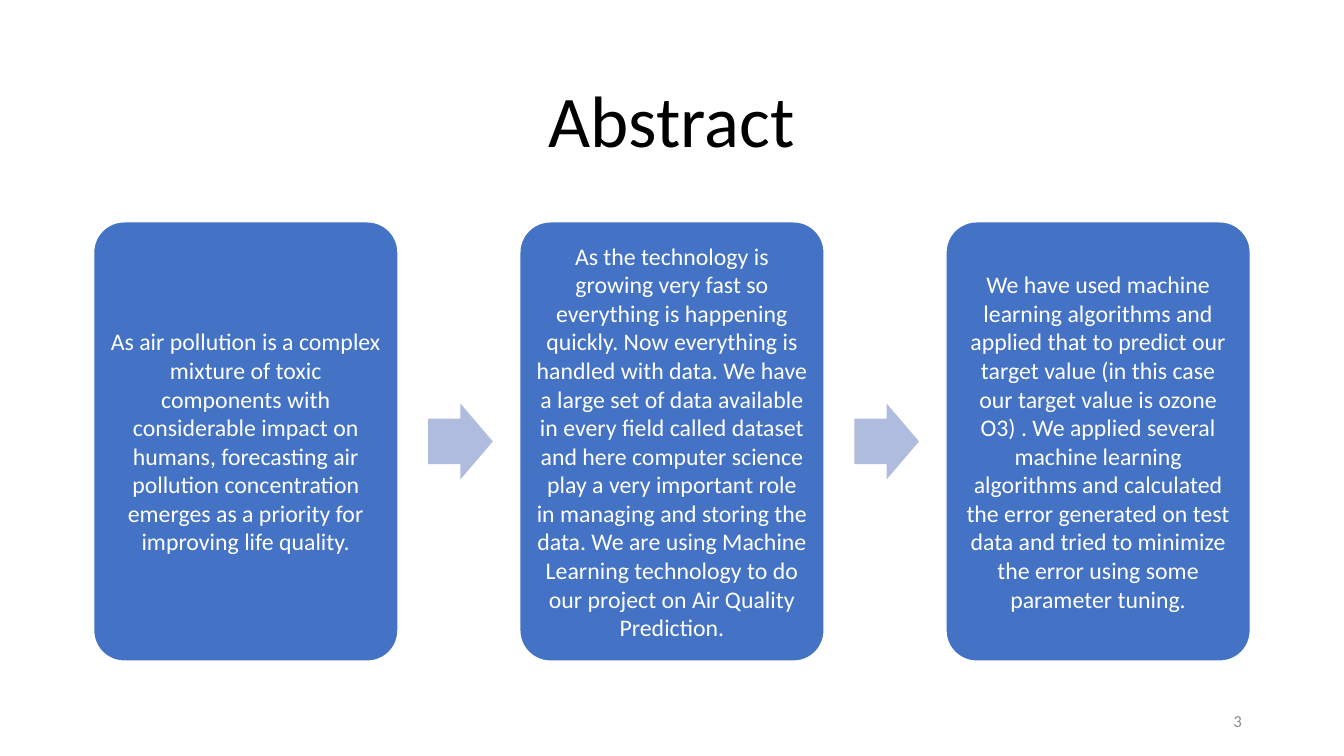
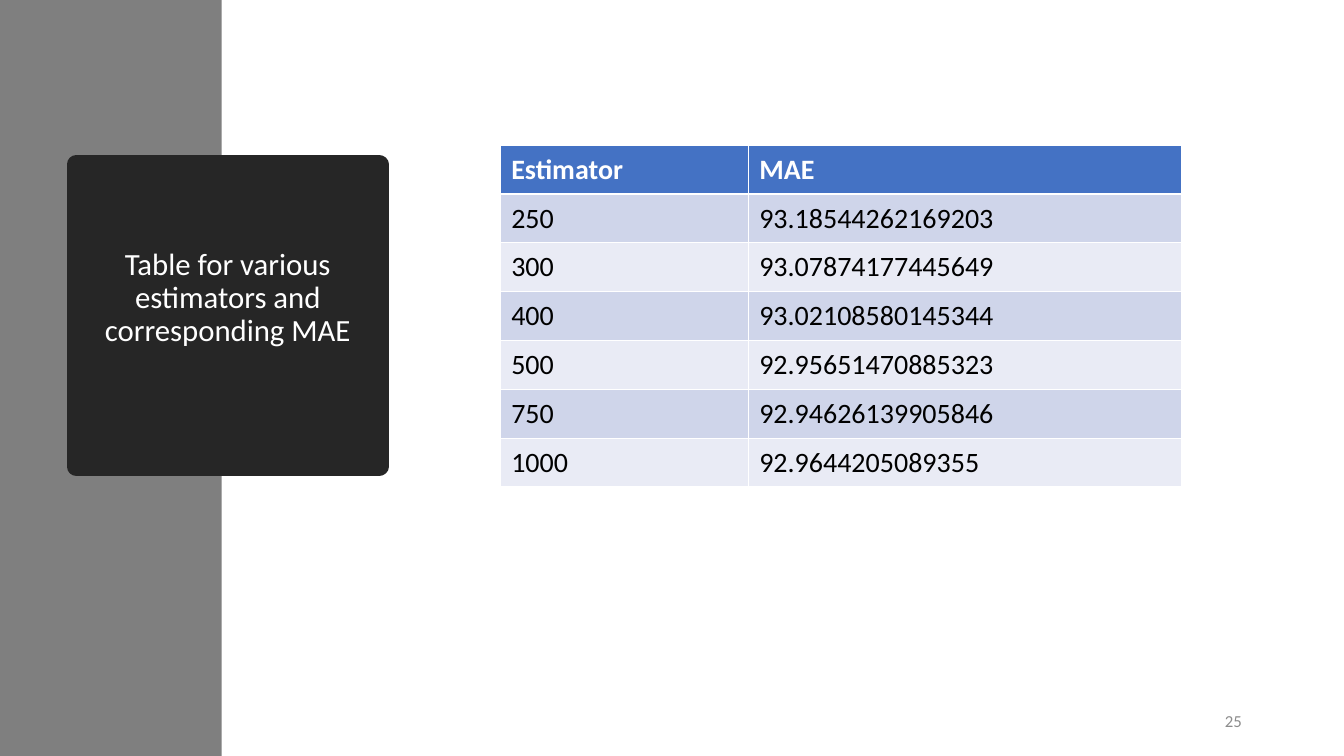
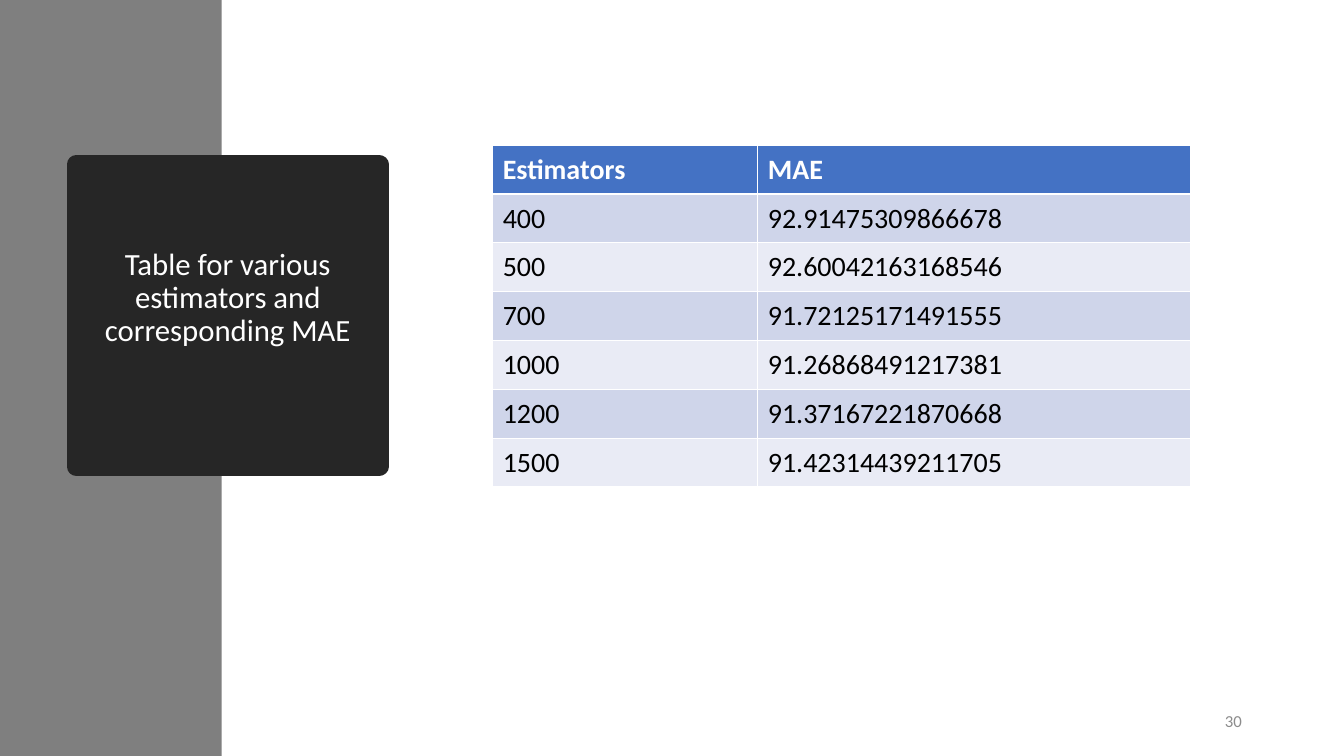
from pptx import Presentation
from pptx.dml.color import RGBColor
from pptx.enum.shapes import MSO_SHAPE as Shape
from pptx.enum.text import MSO_ANCHOR as Anchor, MSO_AUTO_SIZE as AutoSize, PP_ALIGN as Align
from pptx.util import Cm, Pt

COLOURS = {
    "white": "FFFFFF", "black": "000000", "number": "8C8C8C",
    "blue": "4472C4", "arrow": "B0BCDE", "band": "7F7F7F",
    "dark": "262626", "odd_row": "CFD5EA", "even_row": "E9EBF5",
}
FONT = "Calibri"
TITLE_ONLY = 5
PAGE_WIDTH, PAGE_HEIGHT = 33.87, 19.05
TABLE_CENTRE, TABLE_TOP, ROW_HEIGHT = 21.2, 3.66, 1.23

ABSTRACT = [
    "As air pollution is a complex mixture of toxic components with considerable "
    "impact on humans, forecasting air pollution concentration emerges as a "
    "priority for improving life quality.",
    "As the technology is growing very fast so everything is happening quickly. "
    "Now everything is handled with data. We have a large set of data available "
    "in every field called dataset and here computer science play a very important "
    "role in managing and storing the data. We are using Machine Learning "
    "technology to do our project on Air Quality Prediction.",
    "We have used machine learning algorithms and applied that to predict our "
    "target value (in this case our target value is ozone O3) . We applied several "
    "machine learning algorithms and calculated the error generated on test data "
    "and tried to minimize the error using some parameter tuning.",
]
MAE_TITLE = "Table for various estimators and corresponding MAE"
FIRST_RESULTS = [
    ("Estimator", "MAE"),
    ("250", "93.18544262169203"),
    ("300", "93.07874177445649"),
    ("400", "93.02108580145344"),
    ("500", "92.95651470885323"),
    ("750", "92.94626139905846"),
    ("1000", "92.9644205089355"),
]
SECOND_RESULTS = [
    ("Estimators", "MAE"),
    ("400", "92.91475309866678"),
    ("500", "92.60042163168546"),
    ("700", "91.72125171491555"),
    ("1000", "91.26868491217381"),
    ("1200", "91.37167221870668"),
    ("1500", "91.42314439211705"),
]


def colour(name):
    return RGBColor.from_string(COLOURS[name])


def set_all(target, values):
    for name, value in values.items():
        setattr(target, name, value)


def paint(target, name):
    """Fill a shape or a table cell with one palette colour."""
    target.fill.solid()
    target.fill.fore_color.rgb = colour(name)


def outline(shape, name, width):
    shape.line.color.rgb = colour(name)
    shape.line.width = Pt(width)


def write(frame, text, size, ink, align=Align.LEFT, bold=False, spacing=1.0):
    para = frame.paragraphs[0]
    set_all(para, {"alignment": align, "line_spacing": spacing})
    span = para.add_run()
    span.text = text
    set_all(span.font, {"name": FONT, "size": Pt(size), "bold": bold})
    span.font.color.rgb = colour(ink)


def add_box(page, kind, place, fill):
    box = page.shapes.add_shape(kind, *map(Cm, place))
    box.shadow.inherit = False
    paint(box, fill)
    box.line.fill.background()
    return box


def add_page(deck, number):
    page = deck.slides.add_slide(deck.slide_layouts[TITLE_ONLY])
    box = page.shapes.add_textbox(Cm(23.93), Cm(17.65), Cm(7.62), Cm(1.02))
    set_all(box.text_frame, {"word_wrap": True, "vertical_anchor": Anchor.MIDDLE})
    write(box.text_frame, str(number), 12, "number", Align.RIGHT)
    return page


def set_title(page, text, place, size, ink):
    title = page.shapes.title
    sides = ("left", "top", "width", "height")
    set_all(title, dict(zip(sides, map(Cm, place))))
    set_all(title.text_frame, {
        "word_wrap": True, "auto_size": AutoSize.NONE, "vertical_anchor": Anchor.MIDDLE,
    })
    write(title.text_frame, text, size, ink, Align.CENTER, spacing=0.9)
    return title


def add_card(page, text, place):
    card = add_box(page, Shape.ROUNDED_RECTANGLE, place, "blue")
    card.adjustments[0] = 0.1
    outline(card, "white", 1)
    inset = Cm(0.18)
    set_all(card.text_frame, {
        "word_wrap": True, "vertical_anchor": Anchor.MIDDLE,
        "margin_left": inset, "margin_right": inset,
        "margin_top": inset, "margin_bottom": inset,
    })
    write(card.text_frame, text, 17, "white", Align.CENTER)


def add_card_flow(page, texts):
    """Draw equal cards in a row with an arrow in each gap."""
    left, top, width, height, pitch = 2.36, 5.59, 7.67, 11.07, 10.74
    arrow_width, arrow_height = 1.63, 1.91
    arrow_top = top + (height - arrow_height) / 2
    for index, text in enumerate(texts):
        card_left = left + index * pitch
        add_card(page, text, (card_left, top, width, height))
        if index < len(texts) - 1:
            place = (card_left + 8.43, arrow_top, arrow_width, arrow_height)
            arrow = add_box(page, Shape.RIGHT_ARROW, place, "arrow")
            arrow.adjustments[0] = 0.6


def add_results_table(page, rows, widths):
    left = TABLE_CENTRE - sum(widths) / 2
    frame = page.shapes.add_table(
        len(rows), len(widths), Cm(left), Cm(TABLE_TOP),
        Cm(sum(widths)), Cm(ROW_HEIGHT * len(rows)))
    table = frame.table
    for column, width in zip(table.columns, widths):
        column.width = Cm(width)
    for row_index, values in enumerate(rows):
        header = row_index == 0
        fill = "blue" if header else ("even_row", "odd_row")[row_index % 2]
        for column_index, value in enumerate(values):
            cell = table.cell(row_index, column_index)
            paint(cell, fill)
            set_all(cell, {
                "vertical_anchor": Anchor.MIDDLE,
                "margin_left": Cm(0.27), "margin_right": Cm(0.27),
            })
            write(cell.text_frame, value, 20, "white" if header else "black", bold=header)


def add_abstract_page(deck):
    page = add_page(deck, 3)
    set_title(page, "Abstract", (2.33, 1.55, 29.2, 3.15), 52, "black")
    add_card_flow(page, ABSTRACT)


def add_results_page(deck, number, rows, widths):
    page = add_page(deck, number)
    title = set_title(page, MAE_TITLE, (1.93, 4.14, 7.62, 7.62), 22, "white")
    paint(title, "dark")
    outline(title, "dark", 13.75)
    title.text_frame.margin_bottom = Cm(0.97)
    band = add_box(page, Shape.RECTANGLE, (0, 0, 5.59, PAGE_HEIGHT), "band")
    title.element.addprevious(band.element)
    add_results_table(page, rows, widths)


def main():
    deck = Presentation()
    set_all(deck, {"slide_width": Cm(PAGE_WIDTH), "slide_height": Cm(PAGE_HEIGHT)})
    add_abstract_page(deck)
    add_results_page(deck, 25, FIRST_RESULTS, (6.25, 10.92))
    add_results_page(deck, 30, SECOND_RESULTS, (6.68, 10.92))
    deck.save("out.pptx")


if __name__ == "__main__":
    main()
